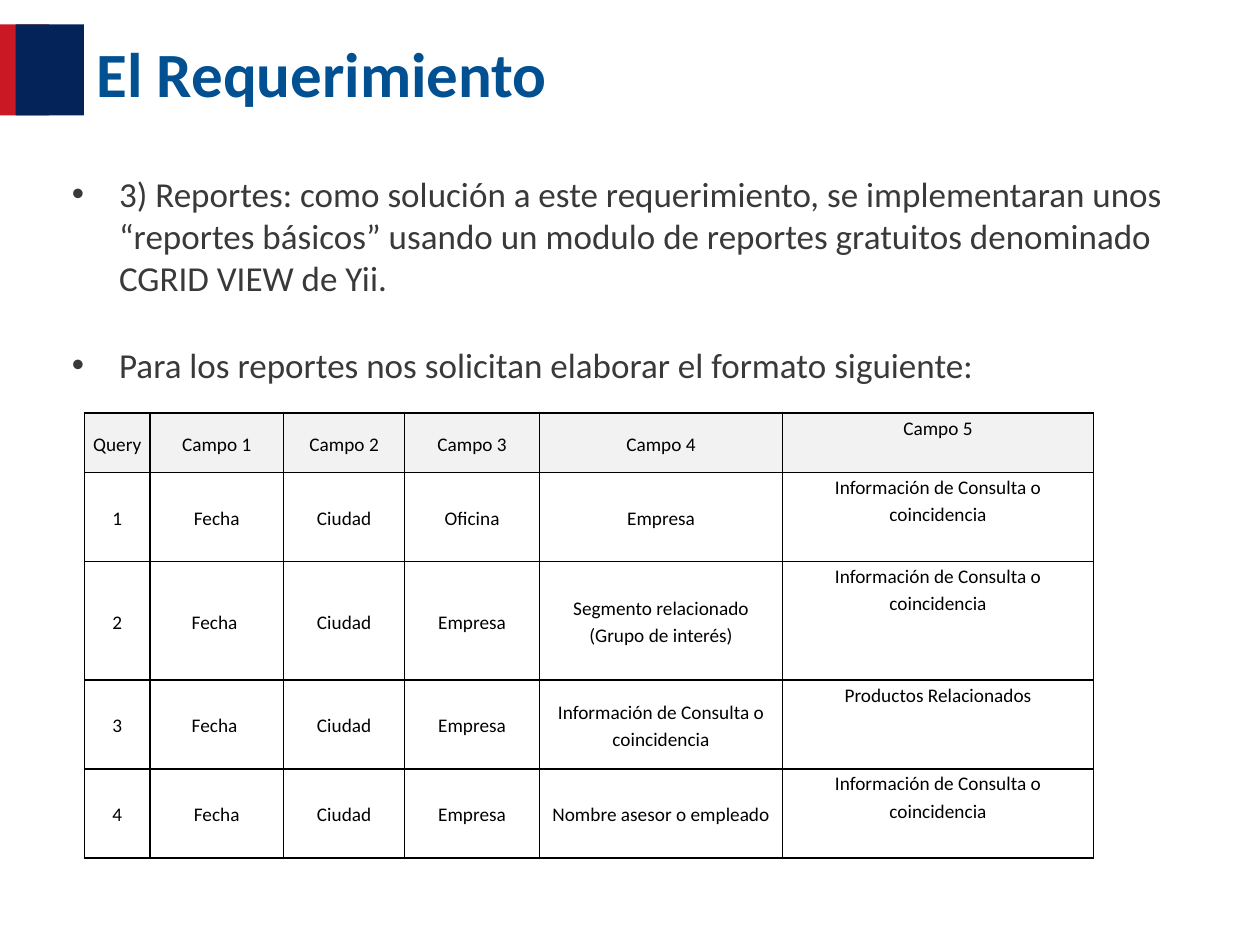
"""Build the requirements slide with its report format table."""
from dataclasses import dataclass

from lxml.etree import SubElement
from pptx import Presentation
from pptx.dml.color import RGBColor
from pptx.enum.shapes import MSO_SHAPE
from pptx.enum.text import MSO_ANCHOR, MSO_AUTO_SIZE, PP_ALIGN
from pptx.oxml.ns import qn
from pptx.util import Pt

RECTANGLE = MSO_SHAPE.RECTANGLE
TOP, MIDDLE = MSO_ANCHOR.TOP, MSO_ANCHOR.MIDDLE
LEFT, CENTER = PP_ALIGN.LEFT, PP_ALIGN.CENTER
NO_AUTOFIT = MSO_AUTO_SIZE.NONE
TITLE_ONLY = 5


@dataclass(frozen=True)
class Theme:
    font: str = "Calibri"
    title_size: float = 36
    body_size: float = 20
    table_size: float = 11
    red: str = "CA1925"
    navy: str = "042459"
    title: str = "005092"
    body: str = "393939"
    table_text: str = "000000"
    border: str = "000000"
    header: str = "F2F2F2"


class SlideBuilder:
    def __init__(self, slide, theme):
        self.slide = slide
        self.theme = theme

    def add_run(self, paragraph, text, size, color, bold=False):
        run = paragraph.add_run()
        run.text = text
        run.font.name = self.theme.font
        run.font.size = Pt(size)
        run.font.bold = bold
        run.font.color.rgb = RGBColor.from_string(color)

    def add_bar(self, left, top, width, height, color):
        bar = self.slide.shapes.add_shape(RECTANGLE, Pt(left), Pt(top), Pt(width), Pt(height))
        bar.shadow.inherit = False
        bar.fill.solid()
        bar.fill.fore_color.rgb = RGBColor.from_string(color)
        bar.line.fill.background()

    def set_title(self, text, left, top, width, height):
        title = self.slide.shapes.title
        title.left, title.top = Pt(left), Pt(top)
        title.width, title.height = Pt(width), Pt(height)
        frame = title.text_frame
        frame.auto_size = NO_AUTOFIT
        frame.vertical_anchor = MIDDLE
        heading = frame.paragraphs[0]
        heading.alignment = LEFT
        self.add_run(heading, text, self.theme.title_size, self.theme.title, bold=True)

    def add_bullets(self, items, left, top, width, height, indent, gap):
        box = self.slide.shapes.add_textbox(Pt(left), Pt(top), Pt(width), Pt(height))
        frame = box.text_frame
        frame.word_wrap = True
        for index, text in enumerate(items):
            bullet = frame.add_paragraph() if index else frame.paragraphs[0]
            bullet.space_before = Pt(gap if index else 0)
            properties = bullet._p.get_or_add_pPr()
            properties.set("marL", str(Pt(indent)))
            properties.set("indent", str(-Pt(indent)))
            SubElement(properties, qn("a:buFont"), typeface="Arial")
            SubElement(properties, qn("a:buChar"), char="•")
            self.add_run(bullet, text, self.theme.body_size, self.theme.body)

    def add_borders(self, cell):
        properties = cell._tc.get_or_add_tcPr()
        for side in ("L", "R", "T", "B"):
            line = SubElement(properties, qn(f"a:ln{side}"), w=str(Pt(1)))
            fill = SubElement(line, qn("a:solidFill"))
            SubElement(fill, qn("a:srgbClr"), val=self.theme.border)

    def fill_cell(self, cell, text, is_header, anchor):
        cell.margin_left = cell.margin_right = Pt(3.6)
        cell.margin_top = cell.margin_bottom = 0
        cell.vertical_anchor = anchor
        self.add_borders(cell)
        if is_header:
            cell.fill.solid()
            cell.fill.fore_color.rgb = RGBColor.from_string(self.theme.header)
        else:
            cell.fill.background()
        content = cell.text_frame.paragraphs[0]
        content.alignment = CENTER
        content.line_spacing = 1.15
        self.add_run(content, text, self.theme.table_size, self.theme.table_text)

    def add_table(self, rows, left, top, widths, heights):
        table = self.slide.shapes.add_table(
            len(heights), len(widths), Pt(left), Pt(top), Pt(sum(widths)), Pt(sum(heights))
        ).table
        table.first_row = table.horz_banding = False
        for column, width in zip(table.columns, widths):
            column.width = Pt(width)
        for row, height in zip(table.rows, heights):
            row.height = Pt(height)
        last_column = len(widths) - 1
        for r, texts in enumerate(rows):
            for c, text in enumerate(texts):
                anchor = TOP if c == last_column else MIDDLE
                self.fill_cell(table.cell(r, c), text, r == 0, anchor)


REQUIREMENTS = [
    "3) Reportes: como solución a este requerimiento, se implementaran unos “reportes básicos” "
    "usando un modulo de reportes gratuitos denominado CGRID VIEW de Yii.",
    "Para los reportes nos solicitan elaborar el formato siguiente:",
]
MATCH = "Información de Consulta o coincidencia"
REPORT_FORMAT = [
    ["Query"] + [f"Campo {number}" for number in range(1, 6)],
    ["1", "Fecha", "Ciudad", "Oficina", "Empresa", MATCH],
    ["2", "Fecha ", "Ciudad", "Empresa", "Segmento relacionado (Grupo de interés)", MATCH],
    ["3", "Fecha ", "Ciudad", "Empresa", MATCH, "Productos Relacionados"],
    ["4", "Fecha", "Ciudad", "Empresa", "Nombre asesor o empleado", MATCH],
]


def main():
    presentation = Presentation()
    presentation.slide_width, presentation.slide_height = Pt(720), Pt(540)
    theme = Theme()
    slide = presentation.slides.add_slide(presentation.slide_layouts[TITLE_ONLY])
    builder = SlideBuilder(slide, theme)
    builder.add_bar(0, 14, 28, 52, theme.red)
    builder.add_bar(9, 14, 39, 52, theme.navy)
    builder.set_title("El Requerimiento", 48, 15, 558, 53)
    builder.add_bullets(REQUIREMENTS, 34, 95, 648, 141, indent=27, gap=26)
    builder.add_table(
        REPORT_FORMAT, 48.3, 236,
        widths=[37.4, 76.4, 69.2, 77, 139, 177.6],
        heights=[34, 50.8, 67.8, 50.8, 50.8],
    )
    presentation.save("out.pptx")


if __name__ == "__main__":
    main()
